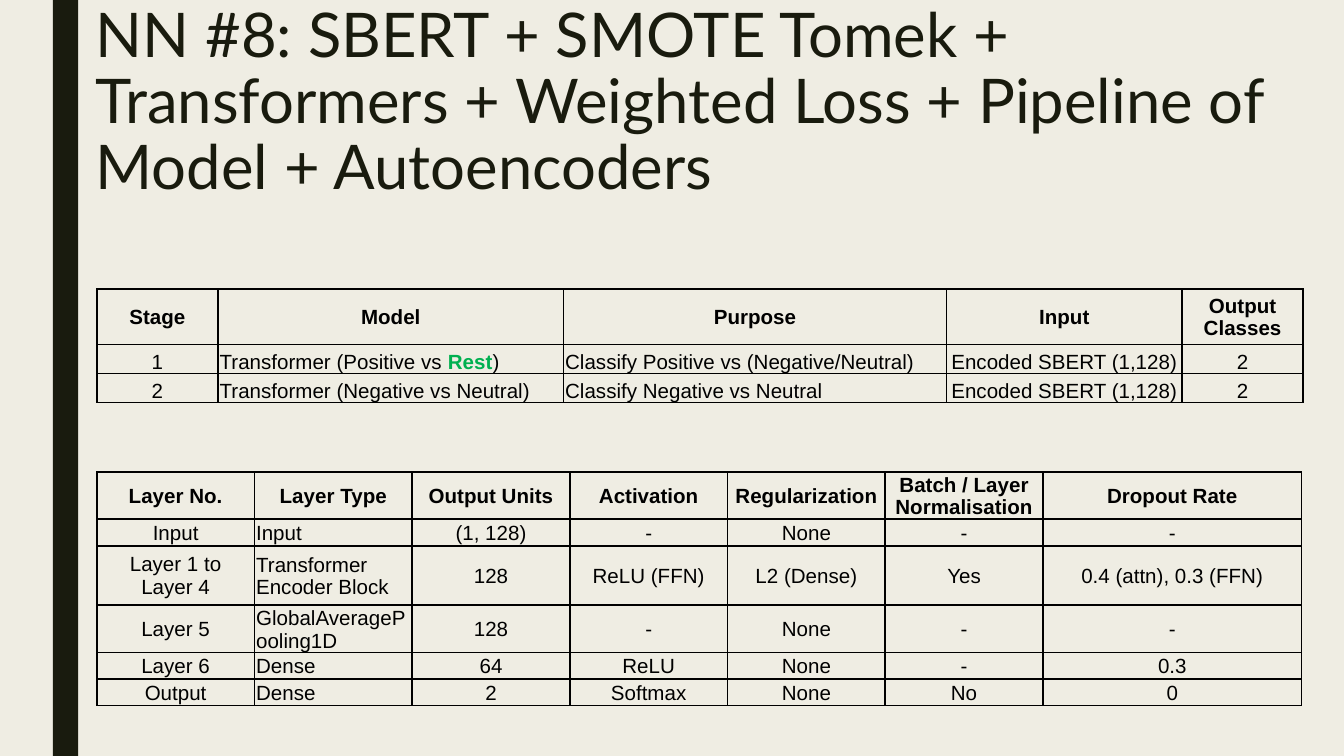
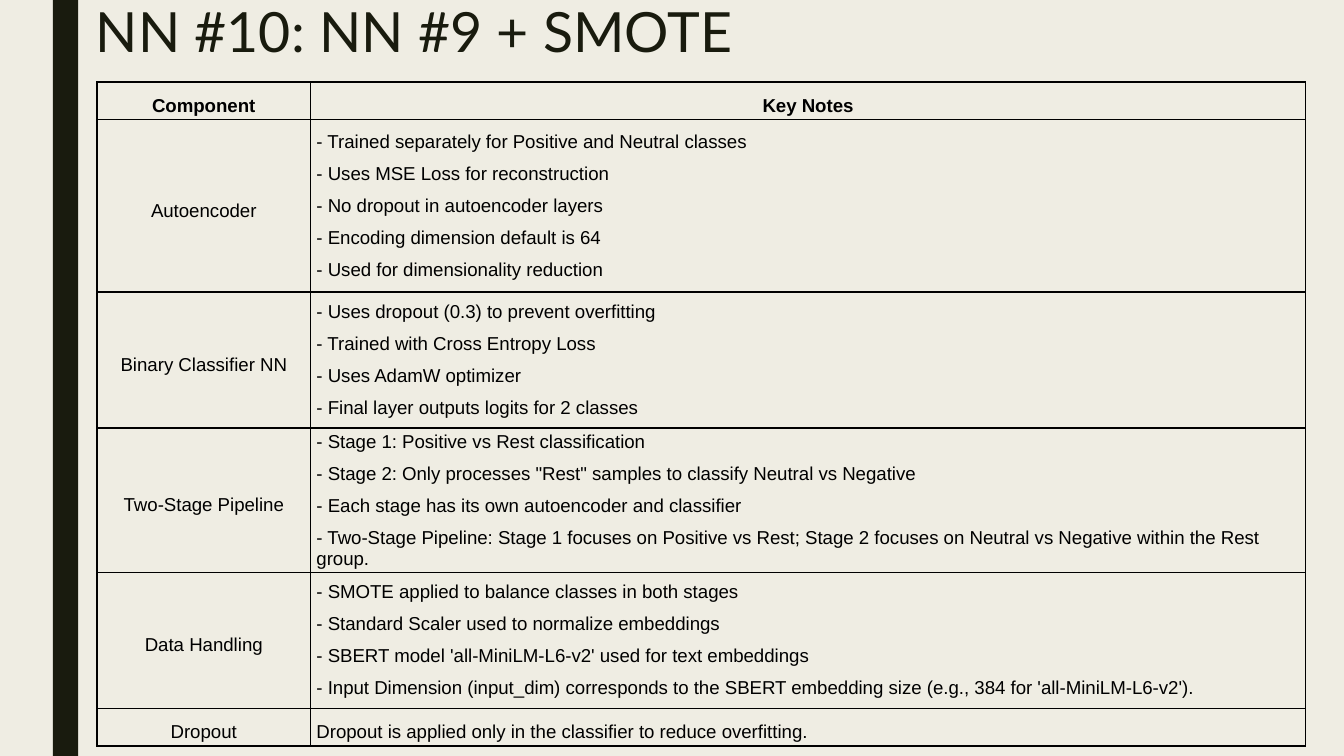
from lxml import etree
from pptx import Presentation
from pptx.dml.color import RGBColor
from pptx.enum.shapes import MSO_SHAPE
from pptx.enum.text import MSO_ANCHOR, MSO_AUTO_SIZE, PP_ALIGN
from pptx.oxml.ns import qn
from pptx.util import Cm, Pt

# Shared look, lengths in cm
PAPER, INK, BLACK, GREEN = "EFEDE3", "191B0E", "000000", "00B050"
SLIDE_WIDTH, SLIDE_HEIGHT = 25.4, 14.29
TITLE_LEFT, TABLE_LEFT = 1.63, 1.83
TITLE_MARGINS = (0.18, 0.1, 0.18, 0.1)
TIGHT = (0.03, 0.03, 0.03, 0)
ROOMY = (0.25, 0.13, 0.25, 0.13)
NOTE_MARGINS = (0.11, 0.06, 0.11, 0.06)

# Content: a list holds paragraphs, a tuple holds the runs of one paragraph
STAGES = [
    ["Stage", "Model", "Purpose", "Input", "Output Classes"],
    ["1", [("Transformer (Positive vs ", {"text": "Rest", "color": GREEN, "bold": True}, ")")],
     "Classify Positive vs (Negative/Neutral)", "Encoded SBERT (1,128)", "2"],
    ["2", "Transformer (Negative vs Neutral)", "Classify Negative vs Neutral",
     "Encoded SBERT (1,128)", "2"],
]
LAYERS = [
    ["Layer No.", "Layer Type", "Output Units", "Activation", "Regularization",
     "Batch / Layer Normalisation", "Dropout Rate"],
    ["Input", "Input", "(1, 128)", "-", "None", "-", "-"],
    ["Layer 1 to Layer 4", "Transformer Encoder Block", "128", "ReLU (FFN)",
     "L2 (Dense)", "Yes", "0.4 (attn), 0.3 (FFN)"],
    ["Layer 5", "GlobalAveragePooling1D", "128", "-", "None", "-", "-"],
    ["Layer 6", "Dense", "64", "ReLU", "None", "-", "0.3"],
    ["Output", "Dense", "2", "Softmax", "None", "No", "0"],
]
KEY_NOTES = [
    ["Component", "Key Notes"],
    ["Autoencoder", [
        "- Trained separately for Positive and Neutral classes",
        "- Uses MSE Loss for reconstruction",
        "- No dropout in autoencoder layers",
        "- Encoding dimension default is 64",
        "- Used for dimensionality reduction"]],
    ["Binary Classifier NN", [
        "- Uses dropout (0.3) to prevent overfitting",
        "- Trained with Cross Entropy Loss",
        "- Uses AdamW optimizer",
        "- Final layer outputs logits for 2 classes"]],
    ["Two-Stage Pipeline", [
        "- Stage 1: Positive vs Rest classification",
        "- Stage 2: Only processes \"Rest\" samples to classify Neutral vs Negative",
        "- Each stage has its own autoencoder and classifier",
        "- Two-Stage Pipeline: Stage 1 focuses on Positive vs Rest; Stage 2 focuses on "
        "Neutral vs Negative within the Rest group."]],
    ["Data Handling", [
        "- SMOTE applied to balance classes in both stages",
        "- Standard Scaler used to normalize embeddings",
        "- SBERT model 'all-MiniLM-L6-v2' used for text embeddings",
        "- Input Dimension (input_dim) corresponds to the SBERT embedding size "
        "(e.g., 384 for 'all-MiniLM-L6-v2')."]],
    ["Dropout", "Dropout is applied only in the classifier to reduce overfitting."],
]

SLIDES = [
    {"title": "NN #8: SBERT + SMOTE Tomek + Transformers + Weighted Loss + "
              "Pipeline of Model + Autoencoders",
     "title_size": 33, "title_height": 3.96,
     "tables": [
         {"rows": STAGES, "top": 5.46, "widths": [2.29, 6.53, 7.24, 4.45, 2.29],
          "heights": [1.05, 0.55, 0.55], "left_columns": (1, 2),
          "body_anchor": MSO_ANCHOR.BOTTOM},
         {"rows": LAYERS, "top": 8.92, "widths": [2.98] * 6 + [4.89],
          "heights": [0.89, 0.5, 1.11, 0.89, 0.5, 0.5], "roomy_cells": [(2, 0)]},
     ]},
    {"title": "NN #10: NN #9 + SMOTE", "title_size": 29.7, "title_height": 1.32,
     "tables": [
         {"rows": KEY_NOTES, "top": 1.55, "widths": [4.04, 18.8],
          "heights": [0.68, 3.26, 2.57, 2.7, 2.57, 0.68], "margins": NOTE_MARGINS,
          "size": 10, "space_after": 6, "single_spacing": 1.5},
     ]},
]


def rgb(color):
    return RGBColor.from_string(color)


def set_margins(target, margins):
    (target.margin_left, target.margin_top,
     target.margin_right, target.margin_bottom) = map(Cm, margins)


def write(frame, content, size=11, font="Arial", color=BLACK, bold=False,
          align=PP_ALIGN.LEFT, spacing=None, space_after=0):
    paragraphs = content if isinstance(content, list) else [content]
    for index, runs in enumerate(paragraphs):
        paragraph = frame.add_paragraph() if index else frame.paragraphs[0]
        paragraph.alignment = align
        paragraph.space_before, paragraph.space_after = Pt(0), Pt(space_after)
        if spacing:
            paragraph.line_spacing = spacing
        for part in runs if isinstance(runs, tuple) else (runs,):
            part = part if isinstance(part, dict) else {"text": part}
            run = paragraph.add_run()
            run.text = part["text"]
            run.font.name, run.font.size = font, Pt(size)
            run.font.bold = part.get("bold", bold)
            run.font.color.rgb = rgb(part.get("color", color))


def add_borders(cell, color=BLACK, width=1):
    properties = cell._tc.get_or_add_tcPr()
    for index, side in enumerate(("lnL", "lnR", "lnT", "lnB")):
        line = etree.Element(qn(f"a:{side}"), w=str(Pt(width)))
        fill = etree.SubElement(line, qn("a:solidFill"))
        etree.SubElement(fill, qn("a:srgbClr"), val=color)
        properties.insert(index, line)


def add_grid(slide, rows, top, widths, heights, left_columns=(1,), margins=TIGHT,
             body_anchor=MSO_ANCHOR.MIDDLE, roomy_cells=(), size=11,
             space_after=0, single_spacing=None):
    table = slide.shapes.add_table(len(rows), len(widths), Cm(TABLE_LEFT), Cm(top),
                                   Cm(sum(widths)), Cm(sum(heights))).table
    table.first_row = table.horz_banding = False
    for column, width in zip(table.columns, widths):
        column.width = Cm(width)
    for r, (values, height) in enumerate(zip(rows, heights)):
        table.rows[r].height = Cm(height)
        header = r == 0
        for c, content in enumerate(values):
            cell = table.cell(r, c)
            cell.fill.background()
            add_borders(cell)
            set_margins(cell, ROOMY if (r, c) in roomy_cells else margins)
            cell.vertical_anchor = MSO_ANCHOR.MIDDLE if header else body_anchor
            left = c in left_columns and not header
            write(cell.text_frame, content, size=size, bold=header,
                  align=PP_ALIGN.LEFT if left else PP_ALIGN.CENTER,
                  spacing=None if isinstance(content, list) else single_spacing,
                  space_after=space_after)


def add_slide(prs, title, title_size, title_height, tables):
    slide = prs.slides.add_slide(prs.slide_layouts[5])

    # Side band
    band = slide.shapes.add_shape(MSO_SHAPE.RECTANGLE, Cm(1), 0, Cm(0.48), Cm(SLIDE_HEIGHT))
    band.shadow.inherit = False
    band.fill.solid()
    band.fill.fore_color.rgb = rgb(INK)
    band.line.fill.background()

    # Title
    heading = slide.shapes.title
    heading.left, heading.top = Cm(TITLE_LEFT), 0
    heading.width, heading.height = Cm(SLIDE_WIDTH - TITLE_LEFT), Cm(title_height)
    frame = heading.text_frame
    frame.word_wrap = True
    frame.auto_size = MSO_AUTO_SIZE.NONE
    frame.vertical_anchor = MSO_ANCHOR.TOP
    set_margins(frame, TITLE_MARGINS)
    write(frame, title, size=title_size, font="Lato", color=INK, spacing=0.89)

    # Tables
    for table in tables:
        add_grid(slide, **table)


def main():
    prs = Presentation()
    prs.slide_width, prs.slide_height = Cm(SLIDE_WIDTH), Cm(SLIDE_HEIGHT)
    background = prs.slide_master.background.fill
    background.solid()
    background.fore_color.rgb = rgb(PAPER)
    for content in SLIDES:
        add_slide(prs, **content)
    prs.save("out.pptx")


if __name__ == "__main__":
    main()
